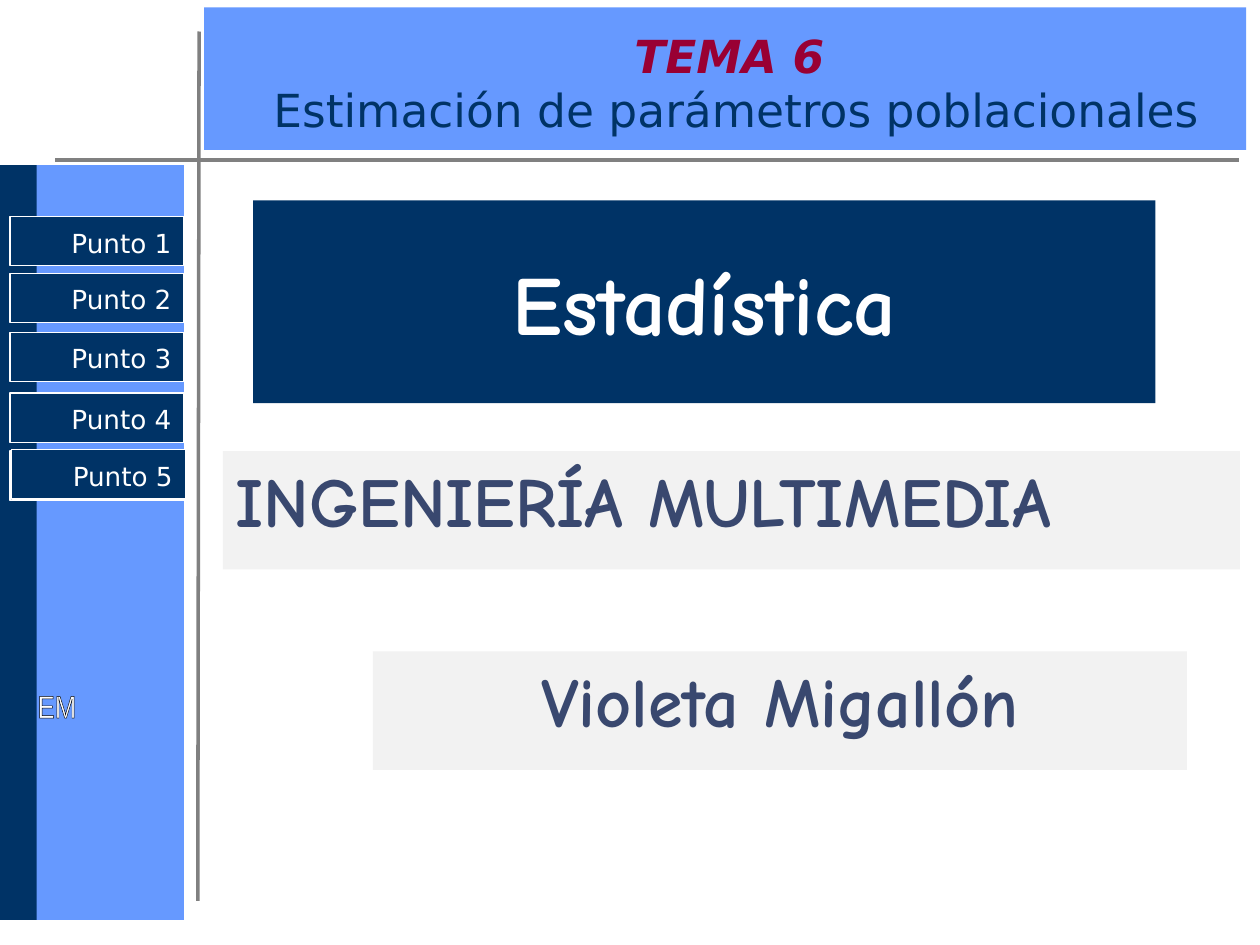
from dataclasses import dataclass
from typing import Optional

from lxml import etree
from pptx import Presentation
from pptx.dml.color import RGBColor
from pptx.enum.shapes import MSO_CONNECTOR, MSO_SHAPE
from pptx.enum.text import MSO_ANCHOR, PP_ALIGN
from pptx.oxml import parse_xml
from pptx.oxml.ns import qn
from pptx.util import Pt

RECTANGLE = MSO_SHAPE.RECTANGLE
STRAIGHT = MSO_CONNECTOR.STRAIGHT
TOP, MIDDLE = MSO_ANCHOR.TOP, MSO_ANCHOR.MIDDLE
LEFT, CENTER, RIGHT = PP_ALIGN.LEFT, PP_ALIGN.CENTER, PP_ALIGN.RIGHT

NAVY, BLUE, WHITE, GRAY = "003366", "6699FF", "FFFFFF", "808080"
PALE, SLATE, CRIMSON = "F2F2F2", "39486F", "990033"
BODY_FONT, DISPLAY_FONT, LABEL_FONT = "DejaVu Sans", "Comic Neue", "Arial Narrow"
DRAWING = "http://schemas.openxmlformats.org/drawingml/2006/main"


@dataclass
class Label:
    text: str
    size: float
    font: str
    color: str = WHITE
    bold: bool = False
    italic: bool = False
    align: PP_ALIGN = CENTER
    anchor: MSO_ANCHOR = TOP
    inset_top: float = 3.6


@dataclass
class Panel:
    left: float
    top: float
    width: float
    height: float
    fill: Optional[str] = None
    line: Optional[str] = None
    label: Optional[Label] = None


def rgb(color: str) -> RGBColor:
    return RGBColor.from_string(color)


def format_run(run, label: Label) -> None:
    run.font.name = label.font
    run.font.size = Pt(label.size)
    run.font.bold = label.bold
    run.font.italic = label.italic
    run.font.color.rgb = rgb(label.color)


def draw_panel(slide, panel: Panel) -> None:
    shape = slide.shapes.add_shape(
        RECTANGLE, Pt(panel.left), Pt(panel.top), Pt(panel.width), Pt(panel.height)
    )
    shape.shadow.inherit = False
    if panel.fill:
        shape.fill.solid()
        shape.fill.fore_color.rgb = rgb(panel.fill)
    else:
        shape.fill.background()
    if panel.line:
        shape.line.color.rgb = rgb(panel.line)
        shape.line.width = Pt(0.75)
    else:
        shape.line.fill.background()
    if panel.label:
        frame = shape.text_frame
        frame.text = panel.label.text
        frame.word_wrap = True
        frame.vertical_anchor = panel.label.anchor
        frame.margin_top = Pt(panel.label.inset_top)
        paragraph = frame.paragraphs[0]
        paragraph.alignment = panel.label.align
        format_run(paragraph.runs[0], panel.label)


def draw_rule(slide, x1: float, y1: float, x2: float, y2: float) -> None:
    connector = slide.shapes.add_connector(STRAIGHT, Pt(x1), Pt(y1), Pt(x2), Pt(y2))
    connector.line.color.rgb = rgb(GRAY)
    connector.line.width = Pt(2)
    etree.SubElement(connector._element.spPr, qn("a:effectLst"))


def draw_title(slide, lines: list[Label]) -> None:
    box = slide.shapes.add_textbox(Pt(123.12), Pt(19.44), Pt(587.52), Pt(55.44))
    frame = box.text_frame
    frame.word_wrap = True
    frame.vertical_anchor = MIDDLE
    frame.text = "\v".join(line.text for line in lines)
    paragraph = frame.paragraphs[0]
    paragraph.alignment = CENTER
    for run, line in zip(paragraph.runs, lines):
        format_run(run, line)


def draw_initials(slide) -> None:
    box = slide.shapes.add_textbox(Pt(14.4), Pt(388.8), Pt(131.76), Pt(131.04))
    frame = box.text_frame
    frame.word_wrap = False
    frame.text = "EM"
    run = frame.paragraphs[0].runs[0]
    run.font.name = LABEL_FONT
    run.font.size = Pt(18)
    stops = "".join(
        f'<a:gs pos="{position}"><a:srgbClr val="{color}"/></a:gs>'
        for position, color in ((0, "707070"), (50000, WHITE), (100000, "707070"))
    )
    outline = (
        f'<a:ln xmlns:a="{DRAWING}" w="9525"><a:solidFill>'
        '<a:srgbClr val="000000"/></a:solidFill></a:ln>'
    )
    gradient = (
        f'<a:gradFill xmlns:a="{DRAWING}"><a:gsLst>{stops}</a:gsLst>'
        '<a:lin ang="2700000" scaled="1"/></a:gradFill>'
    )
    properties = run._r.get_or_add_rPr()
    for index, xml in enumerate((outline, gradient)):
        properties.insert(index, parse_xml(xml))


def main() -> None:
    presentation = Presentation()
    presentation.slide_width, presentation.slide_height = Pt(720), Pt(540)
    slide = presentation.slides.add_slide(presentation.slide_layouts[6])

    side_bar = Panel(19.44, 94.32, 85.68, 431.28, BLUE)
    side_edge = Panel(0, 94.32, 20.88, 431.28, NAVY)
    header = Panel(116.64, 4.32, 750.24 - 0.24 - 155.36 + 0.8, 81.36, BLUE)
    header.width = 595.44
    for panel in (side_bar, side_edge, header):
        draw_panel(slide, panel)

    draw_rule(slide, 31.68, 91.44, 707.76, 91.44)
    draw_rule(slide, 113.04, 514.8, 113.76, 18)
    draw_initials(slide)
    draw_title(slide, [
        Label("TEMA 6", 26, BODY_FONT, CRIMSON, bold=True, italic=True),
        Label(" Estimación de parámetros poblacionales", 26, BODY_FONT, NAVY),
    ])

    button_width, button_height = 99.36, 28.08
    draw_panel(slide, Panel(5.76, 257.76, button_width, button_height, line=WHITE))
    button_places = [
        (5.76, 123.84), (5.76, 156.24), (5.76, 190.08), (5.76, 224.64), (6.48, 257.04)
    ]
    for number, (left, top) in enumerate(button_places, start=1):
        label = Label(f"Punto {number}", 15, BODY_FONT, align=RIGHT, inset_top=5.76)
        draw_panel(slide, Panel(left, top, button_width, button_height, NAVY, WHITE, label))

    subject = Label("Estadística", 48, DISPLAY_FONT, bold=True, anchor=MIDDLE)
    degree = Label("INGENIERÍA MULTIMEDIA", 40, DISPLAY_FONT, SLATE, bold=True, align=LEFT)
    author = Label("Violeta Migallón", 40, DISPLAY_FONT, SLATE, bold=True)
    for panel in (
        Panel(144.72, 114.48, 515.52, 115.92, NAVY, label=subject),
        Panel(127.44, 257.76, 581.04, 67.68, PALE, label=degree),
        Panel(213.12, 372.24, 465.12, 67.68, PALE, label=author),
    ):
        draw_panel(slide, panel)

    presentation.save("out.pptx")


if __name__ == "__main__":
    main()
